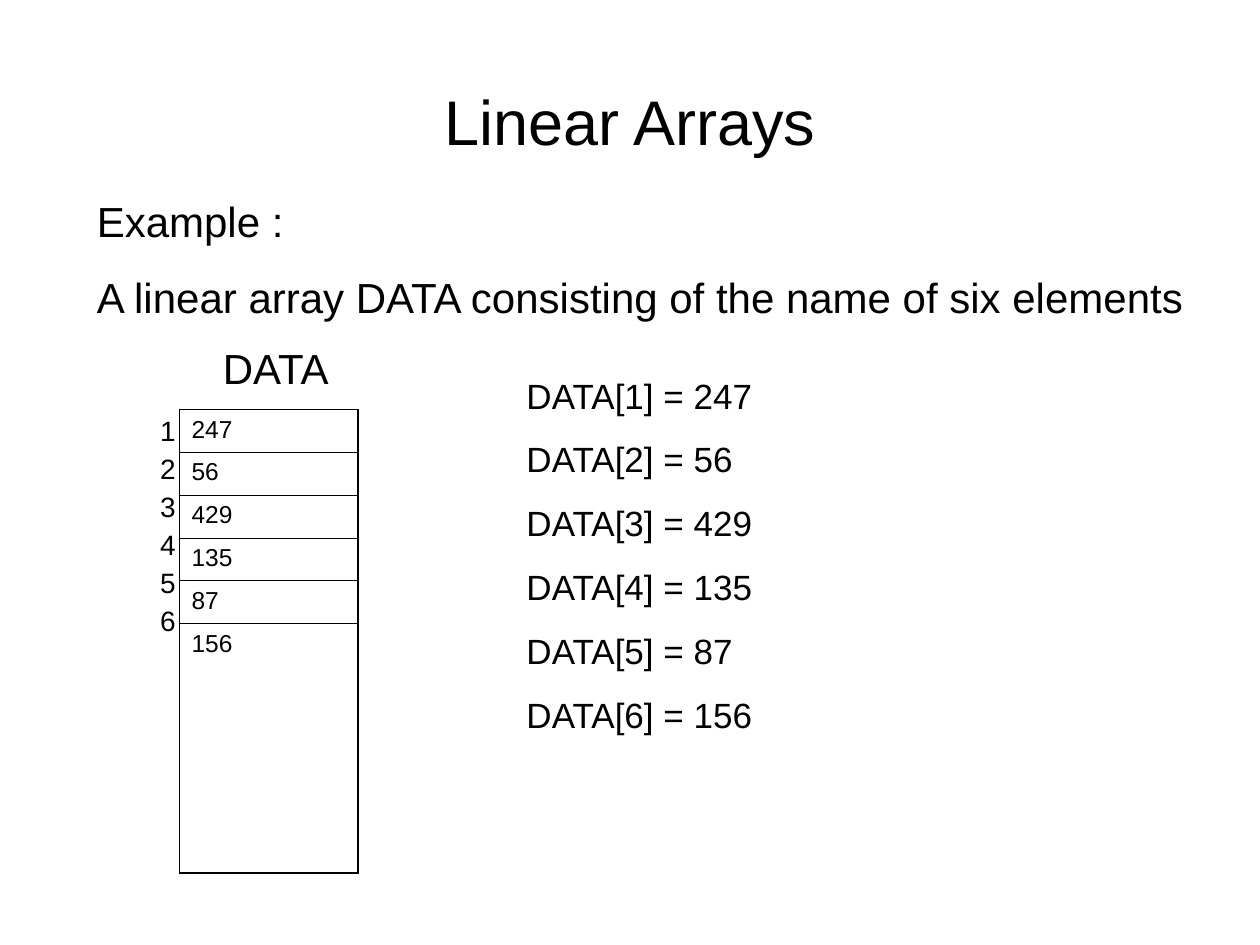
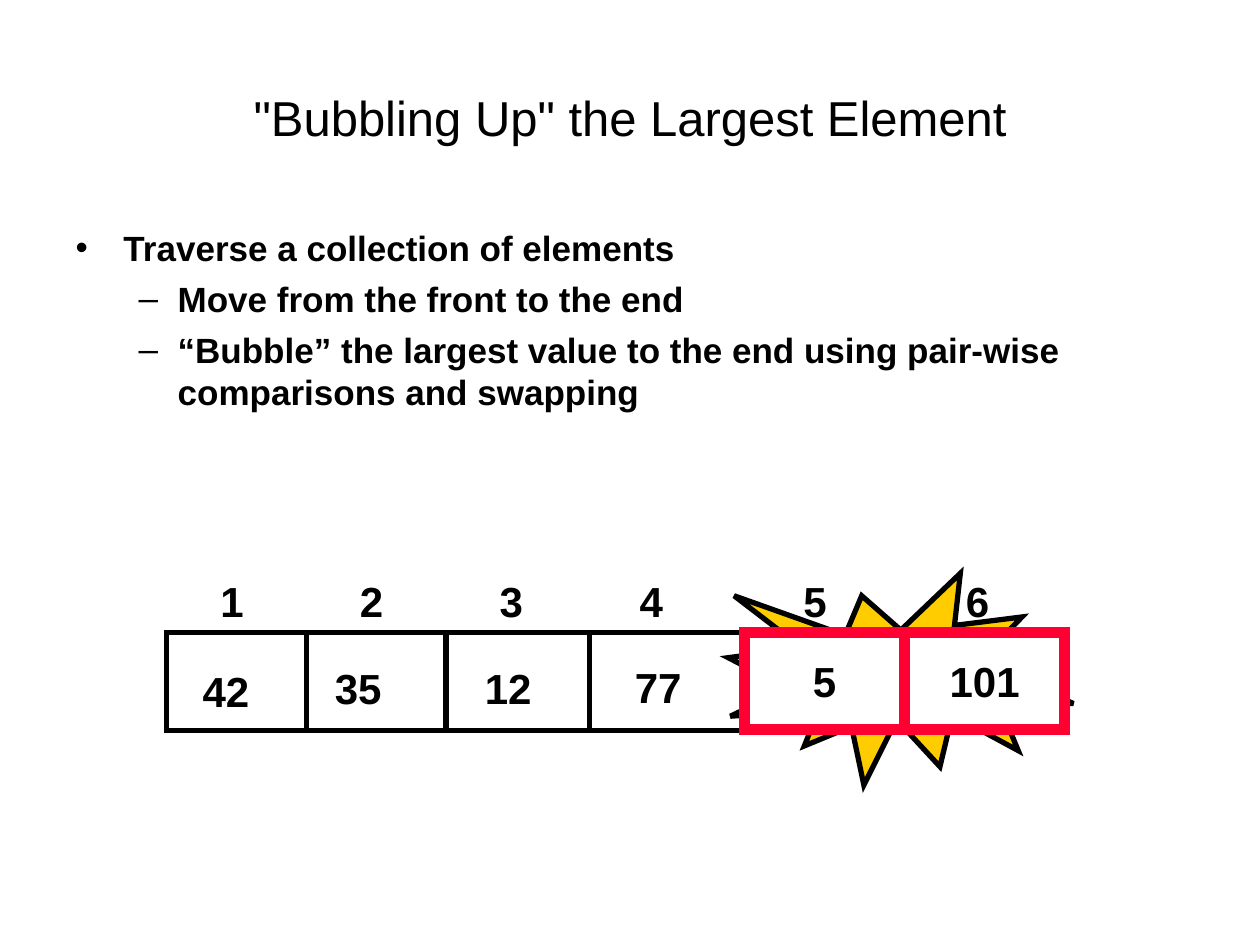
from lxml import etree
from pptx import Presentation
from pptx.dml.color import RGBColor
from pptx.enum.shapes import MSO_CONNECTOR, MSO_SHAPE
from pptx.enum.text import MSO_ANCHOR, MSO_AUTO_SIZE, PP_ALIGN
from pptx.oxml import parse_xml
from pptx.oxml.ns import nsdecls, qn
from pptx.util import Pt

PX = 9144  # EMU per px, 100 px to the inch
RECT, BURST = MSO_SHAPE.RECTANGLE, MSO_SHAPE.EXPLOSION1
STRAIGHT = MSO_CONNECTOR.STRAIGHT
MIDDLE = MSO_ANCHOR.MIDDLE
LEFT, CENTER = PP_ALIGN.LEFT, PP_ALIGN.CENTER
GROW = MSO_AUTO_SIZE.SHAPE_TO_FIT_TEXT

FONT = "Arial"
BLACK, WHITE, RED, GOLD = "000000", "FFFFFF", "FF0033", "FFCC00"
THIN, THICK = 0.45, 1.08  # table borders in points
color = RGBColor.from_string

# Frame formats
TITLE = {"vertical_anchor": MIDDLE, "word_wrap": True}
WRAPPED = {"word_wrap": True, "auto_size": GROW}
ONE_LINE = {"word_wrap": False, "auto_size": GROW}
CELL_VALUE = {"vertical_anchor": MIDDLE, "word_wrap": False}


def scaled(*lengths):
    """Turn px into EMU."""
    return [length * PX for length in lengths]


def write(frame, lines, size, bold=False, before=0, align=LEFT, layout={}):
    """Fill a text frame with one paragraph per line."""
    for key, value in layout.items():
        setattr(frame, key, value)
    frame.text = "\n".join(lines)
    for paragraph in frame.paragraphs:
        paragraph.alignment = align
        paragraph.space_before = Pt(before)
        font = paragraph.runs[0].font
        for key, value in {"name": FONT, "size": Pt(size), "bold": bold}.items():
            setattr(font, key, value)
        font.color.rgb = color(BLACK)


prs = Presentation()
prs.slide_width, prs.slide_height = scaled(1000, 750)
title_and_content, title_only = prs.slide_layouts[1], prs.slide_layouts[5]
arrays = prs.slides.add_slide(title_only)
bubbling = prs.slides.add_slide(title_and_content)

# Titles of both slides
for slide, heading, top, size in [
    (arrays, "Linear Arrays", 33, 36),
    (bubbling, '"Bubbling Up" the Largest Element', 30, 28),
]:
    title = slide.shapes.title
    title.left, title.top, title.width, title.height = scaled(50, top, 900, 125)
    write(title.text_frame, [heading], size, align=CENTER, layout=TITLE)

# Linear arrays: example, assignments and table heading
data = [247, 56, 429, 135, 87, 156]
indexes = [str(i) for i in range(1, len(data) + 1)]
example = ["Example :", "A linear array DATA consisting of the name of six elements"]
assignments = [f"DATA[{i}] = {value}" for i, value in zip(indexes, data)]
for area, lines, size, before in [
    ((67, 150, 900, 111), example, 24, 15),
    ((408, 292, 375, 297), assignments, 20, 12.5),
    ((167, 267, 200, 50), ["DATA"], 24, 15),
]:
    box = arrays.shapes.add_textbox(*scaled(*area))
    write(box.text_frame, lines, size, before=before, layout=WRAPPED)

# Linear arrays: table of values, indexes in one merged cell
last = len(data) - 1
row_heights = [34] * last + [196]
memory = arrays.shapes.add_table(
    len(data), 2, *scaled(117, 325, 167, sum(row_heights))).table
memory.first_row = memory.horz_banding = False
for column, width in zip(memory.columns, scaled(25, 142)):
    column.width = width
for row, height in zip(memory.rows, scaled(*row_heights)):
    row.height = height
memory.cell(0, 0).merge(memory.cell(last, 0))
write(memory.cell(0, 0).text_frame, indexes, 16, before=4)
for r, value in enumerate(data):
    write(memory.cell(r, 1).text_frame, [str(value)], 14, before=3.5)

# Linear arrays: thick outer borders, thin inner ones, none around the indexes
for r in range(len(data)):
    index_borders = {"L": 0, "R": THIN, "T": 0, "B": 0}
    value_borders = {"L": THIN, "R": THICK,
                     "T": THICK if r == 0 else THIN,
                     "B": THICK if r == last else THIN}
    for c, borders in enumerate([index_borders, value_borders]):
        cell = memory.cell(r, c)
        properties = cell._tc.get_or_add_tcPr()
        for side, points in borders.items():
            paint = (f'<a:solidFill><a:srgbClr val="{BLACK}"/></a:solidFill>'
                     if points else "<a:noFill/>")
            properties.append(parse_xml(
                f'<a:ln{side} {nsdecls("a")} w="{Pt(points)}">{paint}</a:ln{side}>'))
        cell.fill.background()

# Bubbling up: bullet list, indented by level
steps = [
    (0, "Traverse a collection of elements"),
    (1, "Move from the front to the end"),
    (1, "“Bubble” the largest value to the end using pair-wise comparisons and swapping"),
]
level_indents = {0: (38, -38), 1: (81, -31)}
body = bubbling.placeholders[1]
body.left, body.top, body.width, body.height = scaled(50, 175, 900, 495)
write(body.text_frame, [text for level, text in steps], 20, bold=True, before=5)
for paragraph, (level, text) in zip(body.text_frame.paragraphs, steps):
    paragraph.level = level
    for key, length in zip(("marL", "indent"), scaled(*level_indents[level])):
        paragraph._p.get_or_add_pPr().set(key, str(length))

# Bubbling up: array row with its dividers
row_left, row_top, row_width, row_height = 132, 502, 713, 78
array_row = bubbling.shapes.add_shape(
    RECT, *scaled(row_left, row_top, row_width, row_height))
for x in (243, 354, 468):
    divider = bubbling.shapes.add_connector(
        STRAIGHT, *scaled(x, row_top, x, row_top + row_height))
    divider.line.color.rgb = color(BLACK)
    divider.line.width = Pt(3)
    etree.SubElement(divider.element.spPr, qn("a:effectLst"))

# Bubbling up: values in the row
for x, y, value in [(151, 523, "42"), (256, 521, "35"),
                    (375, 521, "12"), (494, 520, "77")]:
    box = bubbling.shapes.add_textbox(*scaled(x, y, 57, 50))
    write(box.text_frame, [value], 24, bold=True, layout=ONE_LINE)

# Bubbling up: indexes above the row, centred on tab stops
index_line = bubbling.shapes.add_textbox(*scaled(165, 452, 640, 50)).text_frame
write(index_line, ["\t".join(indexes)], 24, bold=True, layout=WRAPPED)
tab_stops = etree.SubElement(
    index_line.paragraphs[0]._p.get_or_add_pPr(), qn("a:tabLst"))
for stop in scaled(120, 231, 342, 472, 601):
    etree.SubElement(tab_stops, qn("a:tab"), pos=str(stop), algn="ctr")

# Bubbling up: burst behind the pair being compared
burst = bubbling.shapes.add_shape(BURST, *scaled(578, 455, 274, 168))
pair_left, pair_width = 591, 127
pair = []
for i, value in enumerate(["5", "101"]):
    compared = bubbling.shapes.add_shape(
        RECT, *scaled(pair_left + i * pair_width, row_top, pair_width, 77))
    write(compared.text_frame, [value], 24, bold=True, align=CENTER, layout=CELL_VALUE)
    pair.append(compared)

# Bubbling up: fills and sharp-cornered outlines
array_row.fill.background()
for part, fill in [(burst, GOLD)] + [(compared, WHITE) for compared in pair]:
    part.fill.solid()
    part.fill.fore_color.rgb = color(fill)
outlines = {BLACK: (3, [array_row, burst]), RED: (6, pair)}
for line_color, (points, parts) in outlines.items():
    for part in parts:
        part.shadow.inherit = False
        part.line.color.rgb = color(line_color)
        part.line.width = Pt(points)
        etree.SubElement(part.element.spPr.find(qn("a:ln")), qn("a:miter"), lim="800000")

prs.save("out.pptx")
